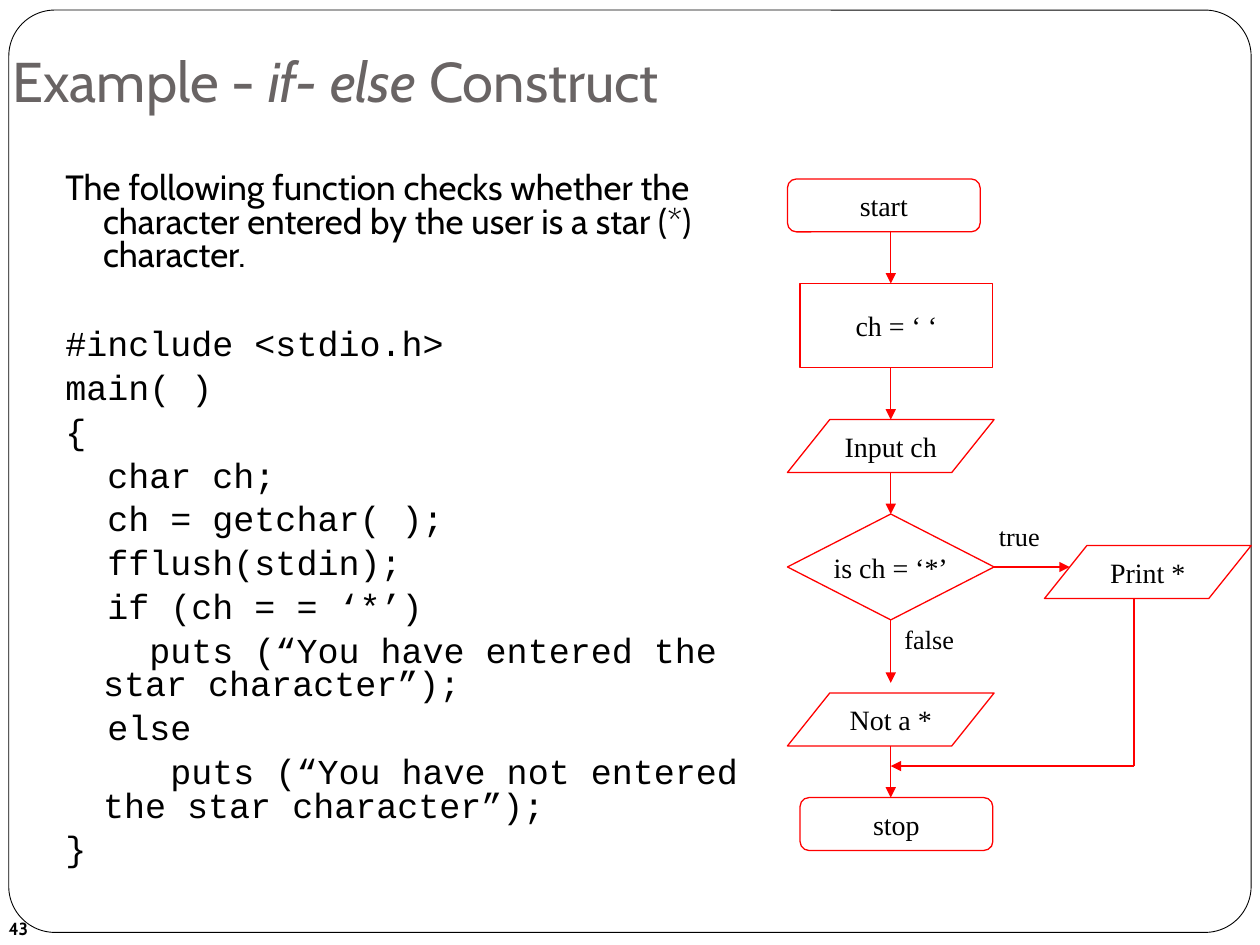
from dataclasses import dataclass

from lxml import etree
from pptx import Presentation
from pptx import util as u
from pptx.dml.color import RGBColor
from pptx.enum import shapes, text
from pptx.oxml.ns import qn

BLACK, WHITE, RED, GRAY = "000000", "FFFFFF", "FF0000", "696464"
SANS, SERIF, MONO = "Cabin", "Times New Roman", "Courier New"
Kind = shapes.MSO_SHAPE
Point = tuple[float, float]

INTRO = ("The following function checks whether the character entered "
         "by the user is a star (*) character.")
CODE = [
    "#include <stdio.h>",
    "main( )",
    "{",
    "  char ch;",
    "  ch = getchar( );",
    "  fflush(stdin);",
    "  if (ch = = ‘*’)",
    "    puts (“You have entered the star character”);",
    "  else",
    "     puts (“You have not entered the star character”);",
    "}",
]


@dataclass
class Step:
    label: str
    kind: Kind
    left: float
    top: float
    width: float
    height: float = 0.42
    adjustment: float | None = None


@dataclass
class Flow:
    start: Point
    end: Point
    arrow: bool = True
    begin_site: int | None = None  # connection site on the decision
    end_site: int | None = None


@dataclass
class Label:
    words: str
    left: float
    top: float
    width: float
    height: float
    size: float
    font: str
    bold: bool = False
    anchor: text.MSO_ANCHOR = text.MSO_ANCHOR.TOP


AXIS = 7.07  # the vertical line the main flow runs along
SLANT = dict(kind=Kind.PARALLELOGRAM, width=1.64, adjustment=0.8)
ROUND = dict(kind=Kind.ROUNDED_RECTANGLE, width=1.53, adjustment=0.17)
DECISION = Step("is ch = ‘*’", Kind.DIAMOND, 6.25, 4.08, 1.64, 0.84)
STEPS = [
    Step("start", left=6.25, top=1.42, **ROUND),
    Step("ch = ‘ ‘", Kind.RECTANGLE, 6.35, 2.25, 1.53, 0.67),
    Step("Input ch", left=6.25, top=3.33, **SLANT),
    Step("Not a *", left=6.25, top=5.5, **SLANT),
    Step("Print *", left=8.29, top=4.33, **SLANT),
    Step("stop", left=6.35, top=6.33, **ROUND),
]
FLOWS = [
    Flow((AXIS, 1.83), (AXIS, 2.25)),
    Flow((AXIS, 2.92), (AXIS, 3.33)),
    Flow((AXIS, 3.75), (AXIS, 4.08), end_site=0),
    Flow((AXIS, 4.92), (AXIS, 5.42), begin_site=2),
    Flow((AXIS, 5.92), (AXIS, 6.33)),
    Flow((7.89, 4.5), (8.49, 4.5), begin_site=3),
    Flow((9, 4.75), (9, 6.08), arrow=False),
    Flow((9, 6.08), (AXIS, 6.08)),
]
LABELS = [
    Label("true", 7.83, 4.08, 0.58, 0.35, 15, SERIF),
    Label("false", 7.08, 4.9, 0.75, 0.35, 15, SERIF),
    Label("43", -0.03, 7.17, 2.33, 0.4, 10, SANS, True, text.MSO_ANCHOR.MIDDLE),
]


def color(value: str) -> RGBColor:
    return RGBColor.from_string(value)


def set_font(font, name: str, size: float, value: str = BLACK) -> None:
    font.name, font.size = name, u.Pt(size)
    font.color.rgb = color(value)


def set_line(line, value: str, width: float) -> None:
    line.color.rgb = color(value)
    line.width = u.Pt(width)


def add_frame(slide) -> None:
    frame = slide.shapes.add_shape(Kind.ROUNDED_RECTANGLE, u.Inches(0.07),
                                   u.Inches(0.08), u.Inches(9.86), u.Inches(7.32))
    frame.adjustments[0] = 0.05
    frame.shadow.inherit = False
    frame.fill.solid()
    frame.fill.fore_color.rgb = color(WHITE)
    set_line(frame.line, BLACK, 0.5)
    # Send the frame behind the title
    slide.shapes._spTree.insert(2, frame._element)


def add_title(slide) -> None:
    title = slide.shapes.title
    title.left, title.top = u.Inches(0), u.Inches(0)
    title.width, title.height = u.Inches(8.27), u.Inches(1)
    frame = title.text_frame
    frame.auto_size = text.MSO_AUTO_SIZE.NONE
    frame.vertical_anchor = text.MSO_ANCHOR.BOTTOM
    frame.margin_bottom = u.Inches(0.1)
    paragraph = frame.paragraphs[0]
    paragraph.alignment = text.PP_ALIGN.LEFT
    set_font(paragraph.font, SANS, 32, GRAY)
    for words, italic in (("Example - ", False), ("if- else", True),
                          (" Construct", False)):
        run = paragraph.add_run()
        run.text, run.font.italic = words, italic


def add_body(slide) -> None:
    box = slide.shapes.add_textbox(u.Inches(0.42), u.Inches(1.33),
                                   u.Inches(5.67), u.Inches(5.67))
    frame = box.text_frame
    frame.word_wrap = True
    for index, words in enumerate([INTRO, *CODE]):
        paragraph = frame.add_paragraph() if index else frame.paragraphs[0]
        paragraph.text = words
        properties = paragraph._p.get_or_add_pPr()
        properties.set("marL", str(u.Inches(0.3)))
        properties.set("indent", str(u.Inches(-0.3)))
        paragraph.line_spacing = 0.8
        # The code starts after a wider gap
        paragraph.space_before = u.Pt({0: 0, 1: 31.5}.get(index, 5.8))
        set_font(paragraph.font, MONO if index else SANS, 20)


def add_step(slide, step: Step):
    shape = slide.shapes.add_shape(step.kind, u.Inches(step.left), u.Inches(step.top),
                                   u.Inches(step.width), u.Inches(step.height))
    if step.adjustment is not None:
        shape.adjustments[0] = step.adjustment
    shape.shadow.inherit = False
    shape.fill.background()
    set_line(shape.line, RED, 0.75)
    frame = shape.text_frame
    frame.word_wrap = False
    frame.vertical_anchor = text.MSO_ANCHOR.MIDDLE
    paragraph = frame.paragraphs[0]
    paragraph.text = step.label
    paragraph.alignment = text.PP_ALIGN.CENTER
    set_font(paragraph.font, SERIF, 16)
    return shape


def add_flow(slide, flow: Flow, decision) -> None:
    ends = [u.Inches(value) for value in (*flow.start, *flow.end)]
    connector = slide.shapes.add_connector(shapes.MSO_CONNECTOR.STRAIGHT, *ends)
    if flow.begin_site is not None:
        connector.begin_connect(decision, flow.begin_site)
    if flow.end_site is not None:
        connector.end_connect(decision, flow.end_site)
    set_line(connector.line, RED, 0.75)
    if flow.arrow:
        line = connector.line._get_or_add_ln()
        etree.SubElement(line, qn("a:tailEnd"), type="triangle")
    etree.SubElement(connector._element.spPr, qn("a:effectLst"))


def add_label(slide, label: Label) -> None:
    box = slide.shapes.add_textbox(u.Inches(label.left), u.Inches(label.top),
                                   u.Inches(label.width), u.Inches(label.height))
    frame = box.text_frame
    frame.word_wrap = True
    frame.vertical_anchor = label.anchor
    paragraph = frame.paragraphs[0]
    paragraph.text = label.words
    set_font(paragraph.font, label.font, label.size)
    paragraph.font.bold = label.bold


def main() -> None:
    presentation = Presentation()
    presentation.slide_width, presentation.slide_height = u.Inches(10), u.Inches(7.5)
    slide = presentation.slides.add_slide(presentation.slide_layouts[5])
    add_frame(slide)
    add_title(slide)
    add_body(slide)
    # Flowchart
    for step in STEPS:
        add_step(slide, step)
    decision = add_step(slide, DECISION)
    for flow in FLOWS:
        add_flow(slide, flow, decision)
    # Branch labels and page number
    for label in LABELS:
        add_label(slide, label)
    presentation.save("out.pptx")


if __name__ == "__main__":
    main()
